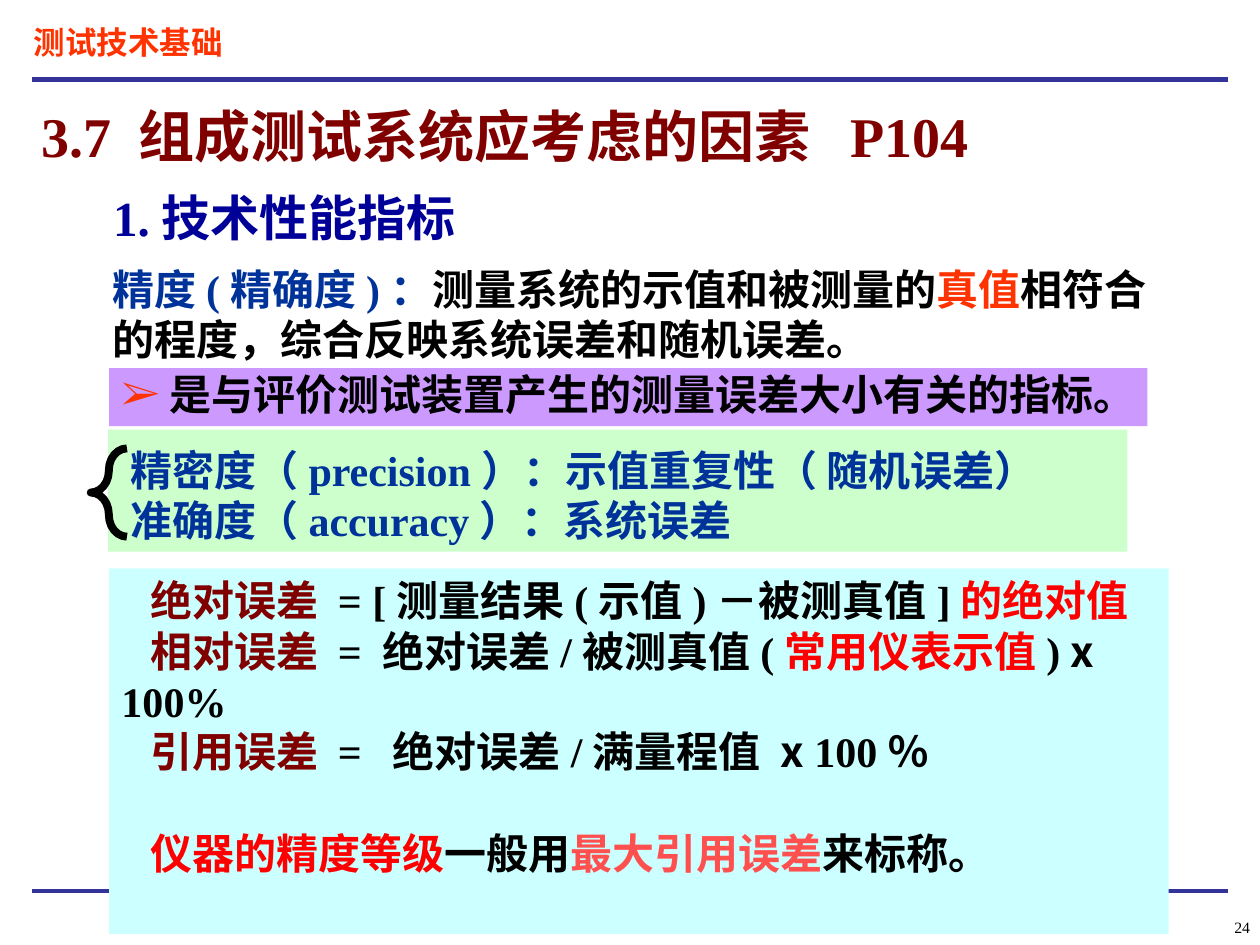
from lxml import etree
from pptx import Presentation, util as u
from pptx.dml.color import RGBColor
from pptx.enum import shapes, text
from pptx.oxml.ns import qn

COLORS = {
    "rule": "333399", "orange": "FF3300", "maroon": "800000", "navy": "000099",
    "blue": "003399", "black": "000000", "red": "FF0000", "coral": "FF5050",
    "white": "FFFFFF", "green": "CCFFCC", "cyan": "CCFFFF", "violet": "CC99FF",
}
LATIN, CJK = "Times New Roman", "Noto Sans CJK SC"

prs = Presentation()
prs.slide_width, prs.slide_height = u.Cm(25.4), u.Cm(19.05)
slide = prs.slides.add_slide(prs.slide_layouts[6])


def add_rule(y, width):
    rule = slide.shapes.add_connector(shapes.MSO_CONNECTOR.STRAIGHT, u.Cm(0.64), u.Cm(y), u.Cm(24.76), u.Cm(y))
    rule.line.color.rgb = RGBColor.from_string(COLORS["rule"])
    rule.line.width = u.Pt(width)
    etree.SubElement(rule._element.spPr, qn("a:effectLst"))


def add_text(place, lines, size=24, fill=None, wrap=True, bold=True, indent=0, bullet=None):
    area = [u.Cm(length) for length in place]
    if fill:
        box = slide.shapes.add_shape(shapes.MSO_SHAPE.RECTANGLE, *area)
        box.shadow.inherit = False
        box.fill.solid()
        box.fill.fore_color.rgb = RGBColor.from_string(COLORS[fill])
        box.line.fill.background()
    else:
        box = slide.shapes.add_textbox(*area)
    frame = box.text_frame
    frame.word_wrap = wrap
    frame.vertical_anchor = text.MSO_ANCHOR.TOP
    for number, line in enumerate(lines):
        paragraph = frame.add_paragraph() if number else frame.paragraphs[0]
        paragraph.alignment = text.PP_ALIGN.LEFT
        props = paragraph._p.get_or_add_pPr()
        if bullet:
            props.set("marL", str(u.Cm(0.96)))
            props.set("indent", str(-u.Cm(0.96)))
            bullet_color = etree.SubElement(props, qn("a:buClr"))
            etree.SubElement(bullet_color, qn("a:srgbClr"), val=COLORS["orange"])
            etree.SubElement(props, qn("a:buFont"), typeface=LATIN)
            etree.SubElement(props, qn("a:buChar"), char=bullet)
        elif indent:
            props.set("indent", str(u.Cm(indent)))
        font = paragraph.font
        font.size, font.bold, font.name = u.Pt(size), bold, LATIN
        etree.SubElement(font._element, qn("a:ea"), typeface=CJK)
        same_color = len({color for _, color in line}) == 1
        if same_color:
            font.color.rgb = RGBColor.from_string(COLORS[line[0][1]])
        for words, color in line:
            run = paragraph.add_run()
            run.text = words
            if not same_color:
                run.font.color.rgb = RGBColor.from_string(COLORS[color])
            if words == "x":
                run.font.name = CJK
    return frame


add_rule(17.96, 2.25)
add_text((0.43, 0.33, 7.42, 1.02), [[("测试技术基础", "orange")]], size=18)
add_rule(1.6, 3)

page_number = add_text((22.86, 18.06, 2.54, 1.27), [[("24", "black")]], size=9, bold=False)
page_number.vertical_anchor = text.MSO_ANCHOR.MIDDLE
page_number.margin_right = u.Cm(0.2)
page_number.paragraphs[0].alignment = text.PP_ALIGN.RIGHT

add_text((0.58, 1.93, 19.81, 1.63), [[("3.7 组成测试系统应考虑的因素  P104", "maroon")]], size=32)
add_text((2.03, 3.66, 8, 1.45), [[("1.技术性能指标", "navy")]], size=28)

add_text((2.01, 5.18, 21.79, 2.29), [[
    ("精度(精确度)：", "blue"),
    ("测量系统的示值和被测量的", "black"),
    ("真值", "orange"),
    ("相符合的程度，综合反映系统误差和随机误差。", "black"),
]], fill="white")

precision = add_text((2.18, 8.66, 20.55, 2.46), [
    [("精密度（precision）：示值重复性（ 随机误差）", "blue")],
    [("准确度（accuracy）：系统误差", "blue")],
], fill="green", indent=0.2)
precision.margin_top = u.Cm(0.3)

errors = add_text((2.2, 11.46, 21.36, 7.37), [
    [("绝对误差 ", "maroon"), ("= [测量结果(示值)－被测真值]", "black"), ("的绝对值", "red")],
    [("相对误差 ", "maroon"), ("= 绝对误差/被测真值(", "black"), ("常用仪表示值", "red"),
     (") ", "black"), ("x", "black"), (" 100%", "black")],
    [("引用误差 ", "maroon"), ("=  绝对误差/满量程值 ", "black"), ("x", "black"), (" 100％", "black")],
    [("仪器的精度等级", "red"), ("一般用", "black"), ("最大引用误差", "coral"), ("来标称。", "black")],
], fill="cyan", indent=0.58)
errors.paragraphs[-1].space_before = u.Pt(29)

brace = slide.shapes.add_shape(shapes.MSO_SHAPE.LEFT_BRACE, u.Cm(1.83), u.Cm(9.04), u.Cm(0.73), u.Cm(1.78))
brace.adjustments[0] = 0.6
brace.shadow.inherit = False
brace.fill.background()
brace.line.color.rgb = RGBColor.from_string(COLORS["black"])
brace.line.width = u.Pt(4.5)

indicator = add_text((2.2, 7.42, 20.93, 1.17), [[("是与评价测试装置产生的测量误差大小有关的指标。", "black")]],
                     fill="violet", wrap=False, bullet="➢")
indicator.paragraphs[0].line_spacing = 0.9

prs.save("out.pptx")
